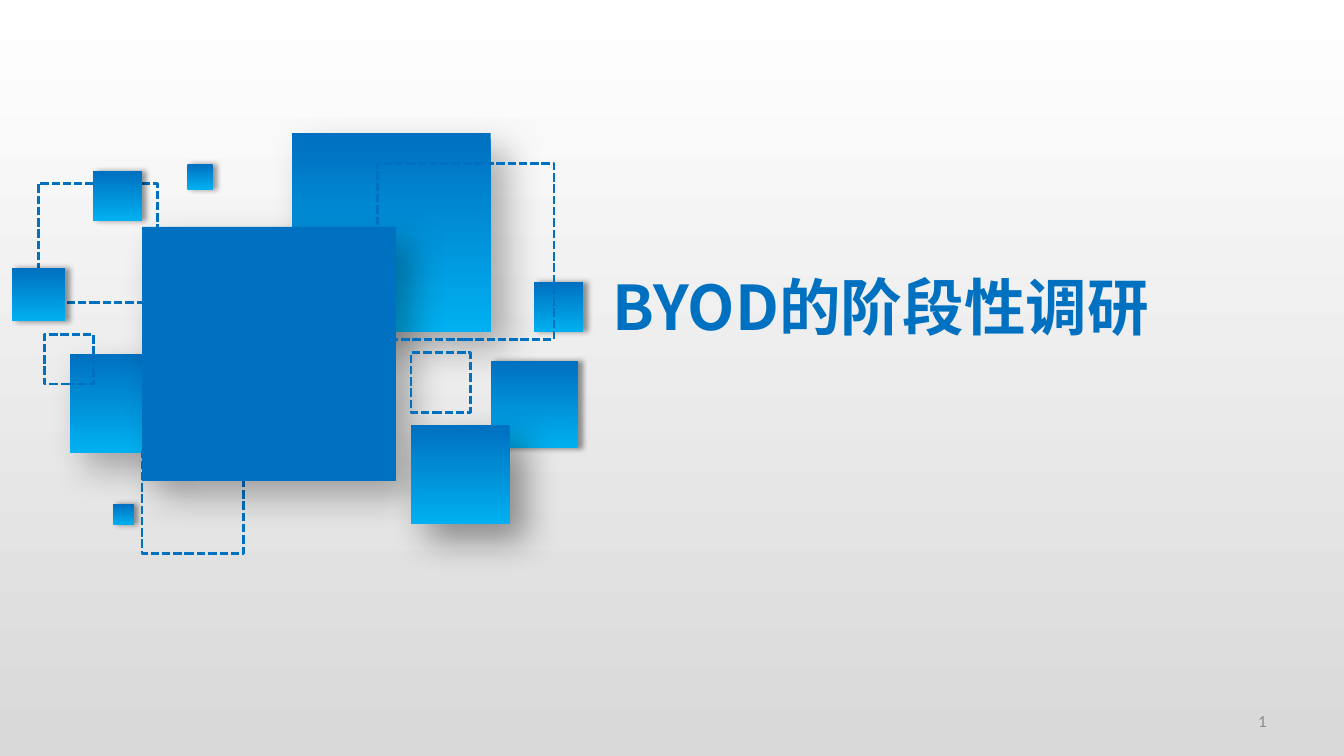
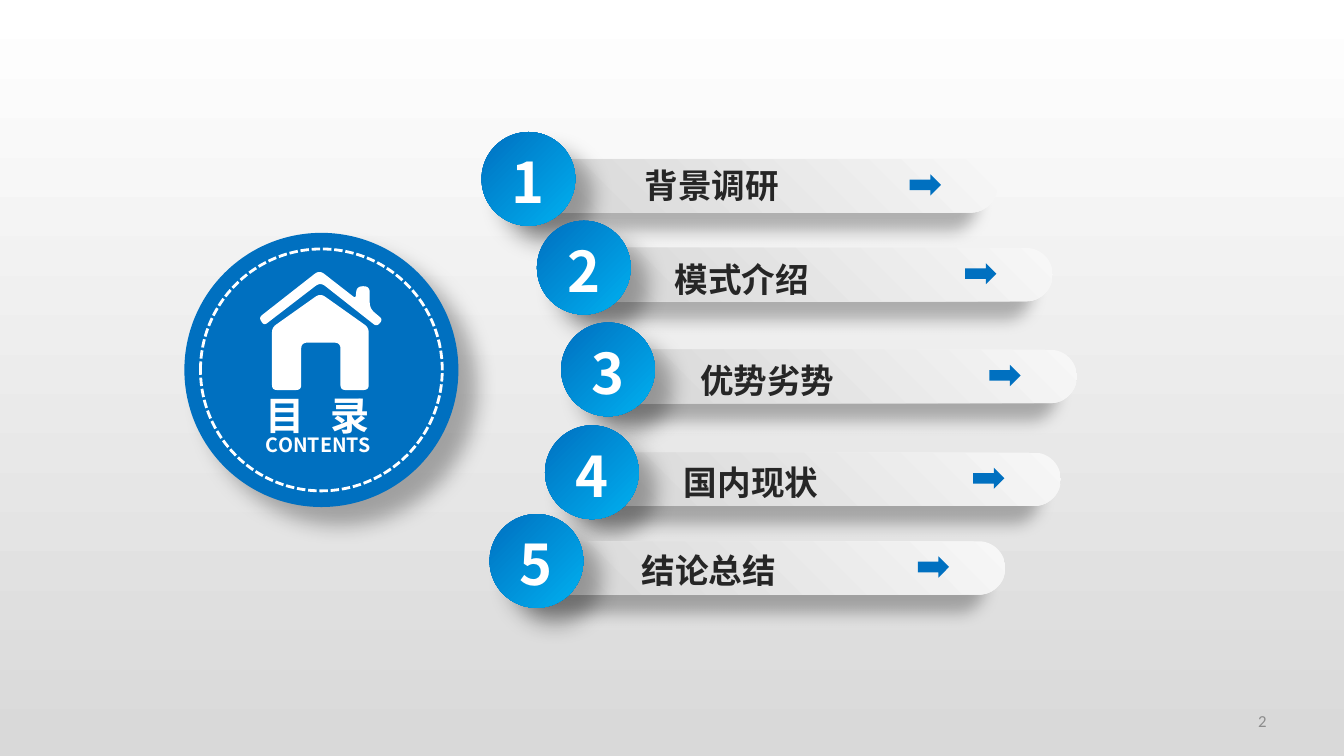
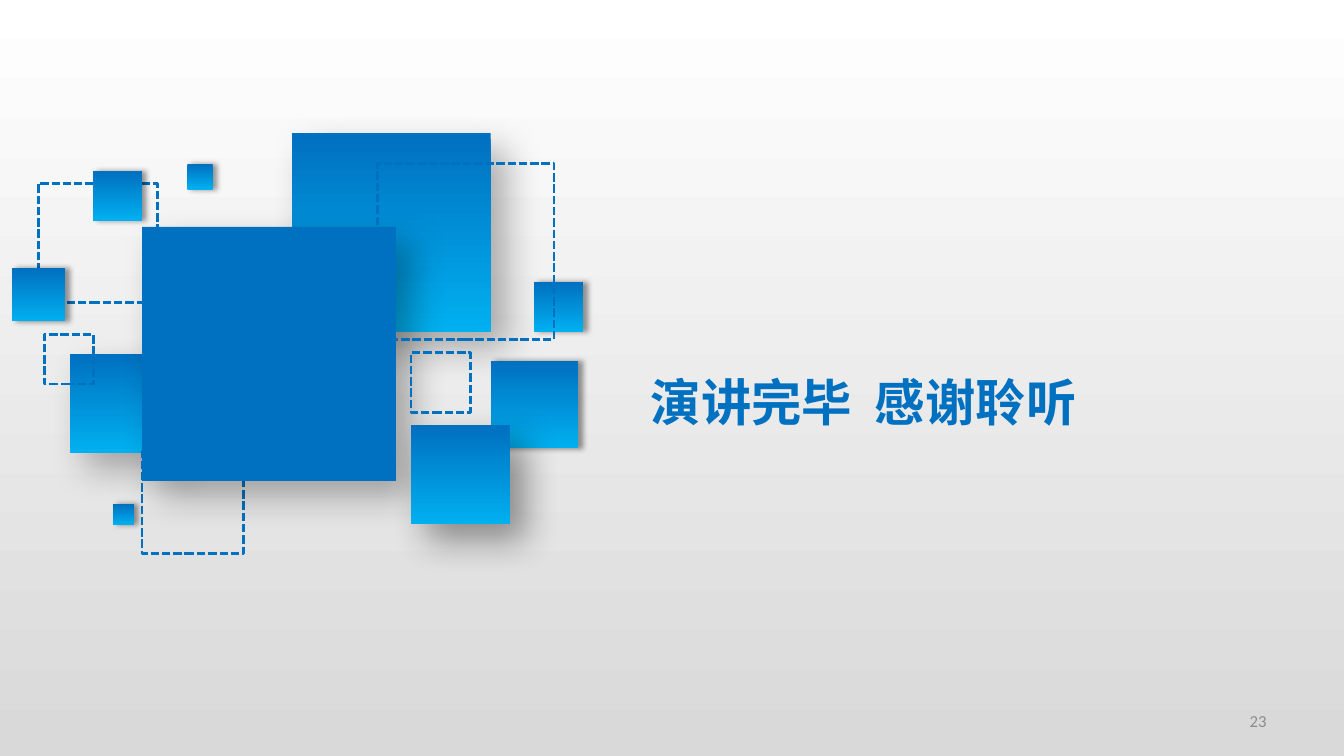
from math import hypot

from lxml.etree import SubElement
from pptx import Presentation
from pptx.dml.color import RGBColor
from pptx.enum.dml import MSO_LINE
from pptx.enum.shapes import MSO_SHAPE
from pptx.enum.text import MSO_ANCHOR, MSO_AUTO_SIZE, PP_ALIGN
from pptx.oxml.ns import qn
from pptx.util import Inches, Pt

# Shared look
BLUE = RGBColor(0x00, 0x70, 0xC0)
SKY = RGBColor(0x00, 0xB0, 0xF0)
WHITE = RGBColor(0xFF, 0xFF, 0xFF)
INK = RGBColor(0x26, 0x26, 0x26)
PAGE_GREY = RGBColor(0x8C, 0x8C, 0x8C)
BACK_GREY = RGBColor(0xD9, 0xD9, 0xD9)
BAR_DARK = RGBColor(0xD6, 0xD6, 0xD6)
BAR_LIGHT = RGBColor(0xF7, 0xF7, 0xF7)
CJK = "Noto Sans CJK SC"
LATIN = "Calibri"

# Shadows: opacity %, blur pt, distance pt, direction in degrees
DEEP = (30, 26, 16, 45)
DEEP_DARK = (40, 26, 16, 45)
NEAR = (40, 4, 3, 0)
ROUND = (30, 15, 18, 45)
BAR = (28, 11.8, 19.7, 141)

# Squares of the cover art: left, top, side, look, shadow
ART_WIDTH = 5.67
ART = [
    (0.57, 2.19, 0.98, "gradient", DEEP),
    (1.00, 3.68, 0.21, "gradient", NEAR),
    (1.29, 3.16, 1.01, "dashed", None),
    (2.78, 0.00, 1.97, "gradient", DEEP),
    (1.29, 0.93, 2.52, "solid", DEEP),
    (4.75, 2.26, 0.87, "gradient", NEAR),
    (3.96, 2.90, 0.98, "gradient", DEEP_DARK),
    (5.18, 1.48, 0.49, "gradient", NEAR),
    (3.63, 0.30, 1.75, "dashed", None),
    (3.96, 2.18, 0.59, "dashed", None),
    (1.74, 0.31, 0.25, "gradient", NEAR),
    (0.32, 2.00, 0.49, "dashed", None),
    (0.26, 0.50, 1.18, "dashed", None),
    (0.00, 1.34, 0.53, "gradient", NEAR),
    (0.80, 0.38, 0.49, "gradient", NEAR),
]

# House outlines: corner x, y and rounding, in hundredths of an inch
WALLS = [(60, 21, 6), (108, 55, 5), (108, 117, 5), (80, 117, 5), (80, 70, 6),
         (41, 70, 6), (41, 117, 5), (12, 117, 5), (12, 55, 5)]
ROOF = [(59, -2, 6), (95, 26, 3), (96, 14, 6), (109, 14, 6), (109, 36, 6),
        (122, 47, 4), (116, 54, 4), (60, 10, 6), (4, 53, 4), (-1, 45, 4)]

# Agenda: text, ball left and top, label offset from the ball
AGENDA = [
    ("背景调研", 0.00, 0.00, 1.52, 0.27),
    ("模式介绍", 0.55, 0.88, 1.27, 0.32),
    ("优势劣势", 0.79, 1.89, 1.28, 0.31),
    ("国内现状", 0.63, 2.91, 1.28, 0.30),
    ("结论总结", 0.08, 3.79, 1.41, 0.29),
]


def set_gradient(fill, start, end, angle=90, last=1.0):
    fill.gradient()
    fill.gradient_angle = 360 - angle
    first_stop, last_stop = fill.gradient_stops
    first_stop.color.rgb = start
    last_stop.color.rgb = end
    first_stop.position, last_stop.position = 0, last


def add_shadow(shape, opacity, blur, distance, direction):
    effects = shape._element.spPr.find(qn("a:effectLst"))
    shadow = SubElement(effects, qn("a:outerShdw"), blurRad=str(Pt(blur)),
                        dist=str(Pt(distance)), dir=str(direction * 60000),
                        algn="tl", rotWithShape="0")
    color = SubElement(shadow, qn("a:srgbClr"), val="000000")
    SubElement(color, qn("a:alpha"), val=str(opacity * 1000))


def decorate(shape, look, color=BLUE, shadow=None, angle=90):
    shape.shadow.inherit = False
    if look == "dashed":
        shape.fill.background()
        shape.line.color.rgb = color
        shape.line.width = Pt(2)
        shape.line.dash_style = MSO_LINE.SQUARE_DOT
    else:
        shape.line.fill.background()
        if look == "gradient":
            set_gradient(shape.fill, color, SKY, angle)
        else:
            shape.fill.solid()
            shape.fill.fore_color.rgb = color
    if shadow:
        add_shadow(shape, *shadow)
    return shape


def add_part(slide, kind, left, top, width, height, look, **style):
    shape = slide.shapes.add_shape(
        kind, Inches(left), Inches(top), Inches(width), Inches(height))
    return decorate(shape, look, **style)


def format_runs(paragraph, size, color, font=CJK, bold=True,
                align=PP_ALIGN.LEFT):
    paragraph.alignment = align
    for run in paragraph.runs:
        run.font.size = Pt(size)
        run.font.bold = bold
        run.font.color.rgb = color
        run.font.name = font
        SubElement(run._r.get_or_add_rPr(), qn("a:ea"), typeface=font)


def widen_space(paragraph, extra):
    """Split the text at its space and widen that space by extra points."""
    words = paragraph.text.split(" ")
    paragraph.text = words[0]
    for piece in (" ", words[1]):
        paragraph.add_run().text = piece
    paragraph.runs[1]._r.get_or_add_rPr().set("spc", str(extra * 100))


def place_title(slide, text, left, top, width, height, size, color, gap=0):
    title = slide.shapes.title
    title.left, title.top = Inches(left), Inches(top)
    title.width, title.height = Inches(width), Inches(height)
    frame = title.text_frame
    frame.text = text
    frame.word_wrap = True
    frame.auto_size = MSO_AUTO_SIZE.NONE
    frame.vertical_anchor = MSO_ANCHOR.TOP
    if gap:
        widen_space(frame.paragraphs[0], gap)
    format_runs(frame.paragraphs[0], size, color)
    slide.shapes._spTree.append(title._element)  # bring to the front
    return frame


def add_label(slide, text, left, top, width, height, size, color, **style):
    label = slide.shapes.add_textbox(
        Inches(left), Inches(top), Inches(width), Inches(height))
    frame = label.text_frame
    frame.text = text
    frame.word_wrap = True
    frame.vertical_anchor = MSO_ANCHOR.MIDDLE
    format_runs(frame.paragraphs[0], size, color, **style)


def new_slide(prs, page):
    slide = prs.slides.add_slide(prs.slide_layouts[5])
    add_label(slide, str(page), 9.56, 6.95, 3.11, 0.4, 12, PAGE_GREY,
              font=LATIN, bold=False, align=PP_ALIGN.RIGHT)
    return slide


def add_square_art(slide, left, top, width):
    scale = width / ART_WIDTH
    for x, y, side, look, shadow in ART:
        add_part(slide, MSO_SHAPE.RECTANGLE, left + x * scale, top + y * scale,
                 side * scale, side * scale, look, shadow=shadow)


def round_corners(corners, steps=6):
    """Return the outline with each corner replaced by a sampled curve."""
    outline = []
    for i, (x, y, radius) in enumerate(corners):
        ends = []
        for nx, ny, _ in (corners[i - 1], corners[(i + 1) % len(corners)]):
            length = hypot(nx - x, ny - y)
            share = min(radius / length, 0.5)
            ends.append((x + (nx - x) * share, y + (ny - y) * share))
        (ax, ay), (bx, by) = ends
        for step in range(steps + 1):
            t = step / steps
            u = 1 - t
            outline.append((u * u * ax + 2 * u * t * x + t * t * bx,
                            u * u * ay + 2 * u * t * y + t * t * by))
    return outline


def add_house(slide, left, top):
    for corners in (WALLS, ROOF):
        points = [(Inches(left + x / 100), Inches(top + y / 100))
                  for x, y in round_corners(corners)]
        builder = slide.shapes.build_freeform(*points[0])
        builder.add_line_segments(points[1:], close=True)
        decorate(builder.convert_to_shape(), "solid", WHITE)


def add_contents_badge(slide, left, top, size):
    rim = 0.16
    add_part(slide, MSO_SHAPE.OVAL, left, top, size, size, "solid",
             shadow=ROUND)
    add_house(slide, left + 0.75, top + 0.39)
    add_part(slide, MSO_SHAPE.OVAL, left + rim, top + rim, size - 2 * rim,
             size - 2 * rim, "dashed", color=WHITE)
    frame = place_title(slide, "目 录", left + 0.81, top + 1.57, 1.4, 0.8,
                        28, WHITE, gap=12)
    frame.margin_left = frame.margin_right = 0
    frame.margin_top = frame.margin_bottom = 0
    subtitle = frame.add_paragraph()
    subtitle.text = "CONTENTS"
    subtitle.line_spacing = 0.75
    format_runs(subtitle, 14, WHITE)


def add_agenda_bar(slide, left, top):
    bar = add_part(slide, MSO_SHAPE.ROUNDED_RECTANGLE, left, top, 4.57, 0.53,
                   "solid", shadow=BAR)
    bar.adjustments[0] = 0.5
    set_gradient(bar.fill, BAR_DARK, BAR_LIGHT)
    # Radial gradient that starts at the lower left corner
    gradient = bar._element.spPr.find(qn("a:gradFill"))
    gradient.remove(gradient.find(qn("a:lin")))
    radial = SubElement(gradient, qn("a:path"), path="circle")
    SubElement(radial, qn("a:fillToRect"), t="100000", r="100000")


def add_agenda(slide, left, top):
    for number, (text, x, y, label_x, label_y) in enumerate(AGENDA, 1):
        x, y = left + x, top + y
        add_agenda_bar(slide, x + 0.55, y + 0.27)
        ball = add_part(slide, MSO_SHAPE.OVAL, x, y, 0.93, 0.93, "gradient",
                        shadow=ROUND, angle=45)
        frame = ball.text_frame
        frame.text = str(number)
        frame.margin_left = frame.margin_right = frame.margin_bottom = 0
        frame.margin_top = Inches(0.05)
        frame.vertical_anchor = MSO_ANCHOR.MIDDLE
        format_runs(frame.paragraphs[0], 40, WHITE, align=PP_ALIGN.CENTER)
        add_label(slide, text, x + label_x, y + label_y, 2.4, 0.52, 24, INK)
        add_part(slide, MSO_SHAPE.RIGHT_ARROW, x + 4.25, y + 0.42, 0.31, 0.21,
                 "solid")


def add_cover(prs, page, text, left, top, height, size, gap=0):
    slide = new_slide(prs, page)
    add_square_art(slide, 0.12, 1.32, ART_WIDTH)
    place_title(slide, text, left, top, 6.97, height, size, BLUE, gap)


def add_contents(prs, page):
    slide = new_slide(prs, page)
    add_contents_badge(slide, 1.83, 2.31, 2.72)
    add_agenda(slide, 4.78, 1.31)


def main():
    prs = Presentation()
    prs.slide_width, prs.slide_height = Inches(13.34), Inches(7.5)
    set_gradient(prs.slide_master.background.fill, WHITE, BACK_GREY, last=0.99)
    add_cover(prs, 1, "BYOD的阶段性调研", 5.98, 2.62, 0.84, 44)
    add_contents(prs, 2)
    add_cover(prs, 23, "演讲完毕 感谢聆听", 6.36, 3.63, 0.71, 36, gap=8)
    prs.save("out.pptx")


if __name__ == "__main__":
    main()
